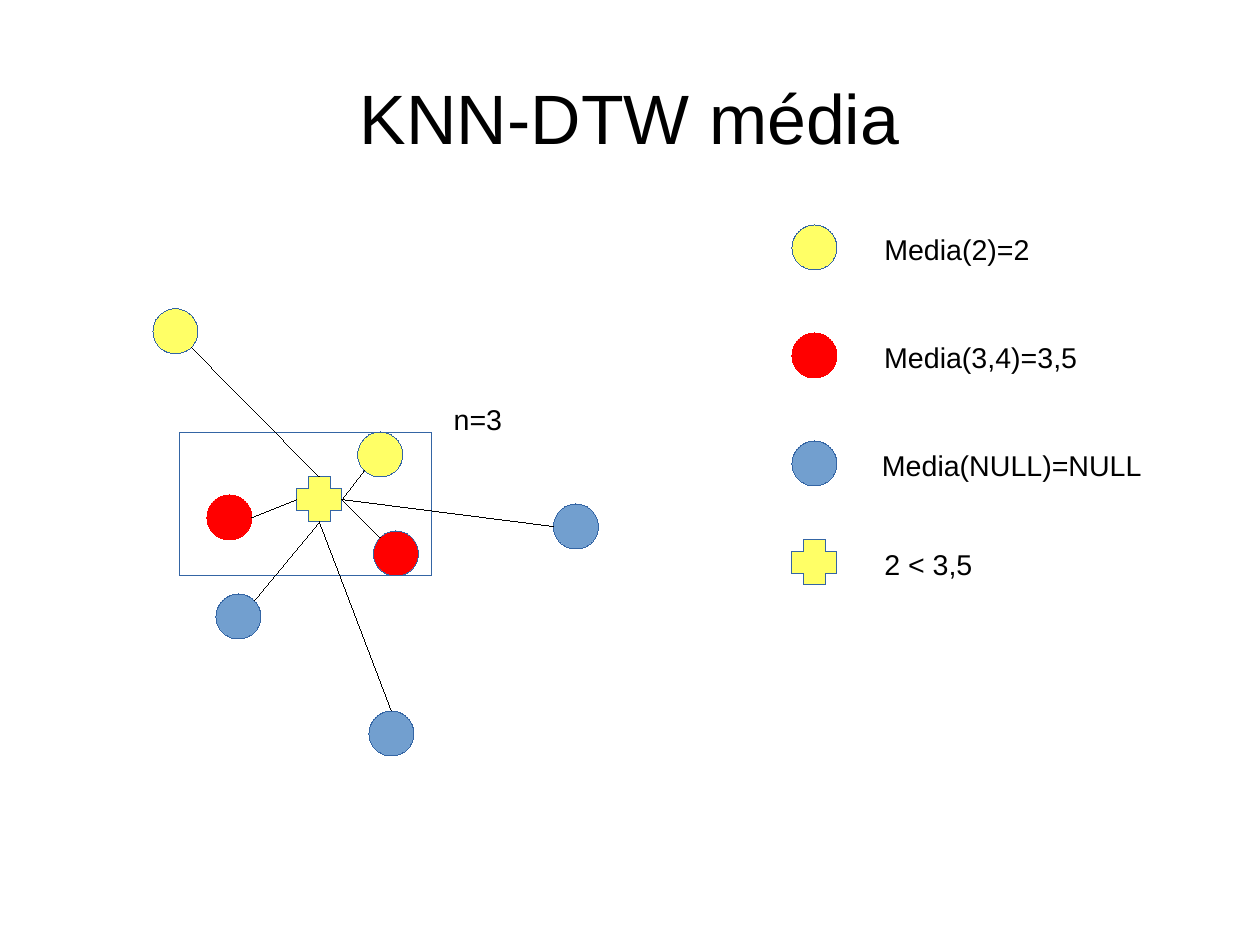
from dataclasses import dataclass
from math import cos, radians, sin

from lxml import etree
from pptx import Presentation
from pptx import util as u
from pptx.dml.color import RGBColor
from pptx.enum import shapes, text
from pptx.oxml.ns import qn


@dataclass(frozen=True)
class Theme:
    font: str = "Arial"
    title_size: int = 44
    label_size: int = 18
    hairline: int = 1  # EMU, the thinnest line
    black: str = "000000"
    white: str = "FFFFFF"
    yellow: str = "FFFF66"
    red: str = "FF0000"
    blue: str = "729FCF"
    outline: str = "3465A4"


T = Theme()
COLUMNS, ROWS = 28, 21  # square grid cells
CELL = u.Inches(11.02) / COLUMNS
TOP, LEFT, BOTTOM, RIGHT = range(4)
OVAL, CROSS = shapes.MSO_SHAPE.OVAL, shapes.MSO_SHAPE.CROSS

TITLE, TITLE_BOX = "KNN-DTW média", (1.4, 0.84, 25.2, 3.5)
NEIGHBOURHOOD = (4, 9.6, 5.6, 3.2)
QUERY = (6.6, 10.6)
N_LABEL, N_BOX = "n=3", (9.83, 8.8, 1.58, 0.97)

# column, row, fill, outline, angle where the line leaves, side of the cross
POINTS = [
    (3.4, 6.86, T.yellow, T.outline, 45, TOP),
    (4.6, 11, T.red, T.red, 0, LEFT),
    (7.95, 9.6, T.yellow, T.outline, 135, RIGHT),
    (4.8, 13.2, T.blue, T.outline, -45, BOTTOM),
    (8.3, 11.8, T.red, T.outline, -135, RIGHT),
    (8.2, 15.8, T.blue, T.outline, -90, BOTTOM),
    (12.3, 11.2, T.blue, T.outline, 180, RIGHT),
]

LEGEND_COLUMN = 17.6
# row, marker, fill, outline, label, label column, label width
LEGEND = [
    (5, OVAL, T.yellow, T.outline, "Media(2)=2", 19.4, 3.73),
    (7.4, OVAL, T.red, T.red, "Media(3,4)=3,5", 19.4, 4.8),
    (9.8, OVAL, T.blue, T.outline, "Media(NULL)=NULL", 19.35, 6.28),
    (12, CROSS, T.yellow, T.outline, "2 < 3,5", 19.4, 2.46),
]


def cells(*values):
    return [u.Emu(round(v * CELL)) for v in values]


def write(s, words, size=T.label_size, color=T.black, align=text.PP_ALIGN.LEFT,
          anchor=text.MSO_ANCHOR.TOP, wrap=False, inset=None):
    tf = s.text_frame
    tf.word_wrap = wrap
    tf.auto_size = text.MSO_AUTO_SIZE.SHAPE_TO_FIT_TEXT
    tf.vertical_anchor = anchor
    if inset is not None:
        tf.margin_left = tf.margin_right = tf.margin_top = tf.margin_bottom = inset
    p = tf.paragraphs[0]
    p.alignment = align
    r = p.add_run()
    r.text = words
    r.font.name, r.font.size = T.font, u.Pt(size)
    r.font.color.rgb = RGBColor.from_string(color)


def add_label(slide, words, box):
    write(slide.shapes.add_textbox(*cells(*box)), words)


def draw_line(s, color):
    s.line.color.rgb = RGBColor.from_string(color)
    s.line.width = u.Emu(T.hairline)


def add_marker(slide, kind, column, row, fill, outline, width=1, height=1):
    s = slide.shapes.add_shape(kind, *cells(column, row, width, height))
    s.shadow.inherit = False
    s.fill.solid()
    s.fill.fore_color.rgb = RGBColor.from_string(fill)
    draw_line(s, outline)
    return s


def add_link(slide, column, row, angle, cross, side):
    """Join a circle's rim, at the given angle, to one side of the cross."""
    a = radians(angle)
    x, y = cells(column + 0.5 + cos(a) / 2, row + 0.5 + sin(a) / 2)
    c = slide.shapes.add_connector(shapes.MSO_CONNECTOR.STRAIGHT, x, y, x, y)
    c.end_connect(cross, side)
    draw_line(c, T.black)
    etree.SubElement(c._element.spPr, qn("a:effectLst"))


def main():
    prs = Presentation()
    prs.slide_width, prs.slide_height = cells(COLUMNS, ROWS)
    slide = prs.slides.add_slide(prs.slide_layouts[5])

    title = slide.shapes.title
    title.left, title.top, title.width, title.height = cells(*TITLE_BOX)
    write(title, TITLE, size=T.title_size, align=text.PP_ALIGN.CENTER,
          anchor=text.MSO_ANCHOR.MIDDLE, wrap=True, inset=0)

    column, row, width, height = NEIGHBOURHOOD
    add_marker(slide, shapes.MSO_SHAPE.RECTANGLE, column, row, T.white,
               T.outline, width, height)
    for column, row, fill, outline, _, _ in POINTS:
        add_marker(slide, OVAL, column, row, fill, outline)
    query = add_marker(slide, CROSS, *QUERY, T.yellow, T.outline)
    for column, row, _, _, angle, side in POINTS:
        add_link(slide, column, row, angle, query, side)
    add_label(slide, N_LABEL, N_BOX)

    for row, kind, fill, outline, words, label_column, width in LEGEND:
        add_marker(slide, kind, LEGEND_COLUMN, row, fill, outline)
        add_label(slide, words, (label_column, row + 0.02, width, 0.97))

    prs.save("out.pptx")


if __name__ == "__main__":
    main()
